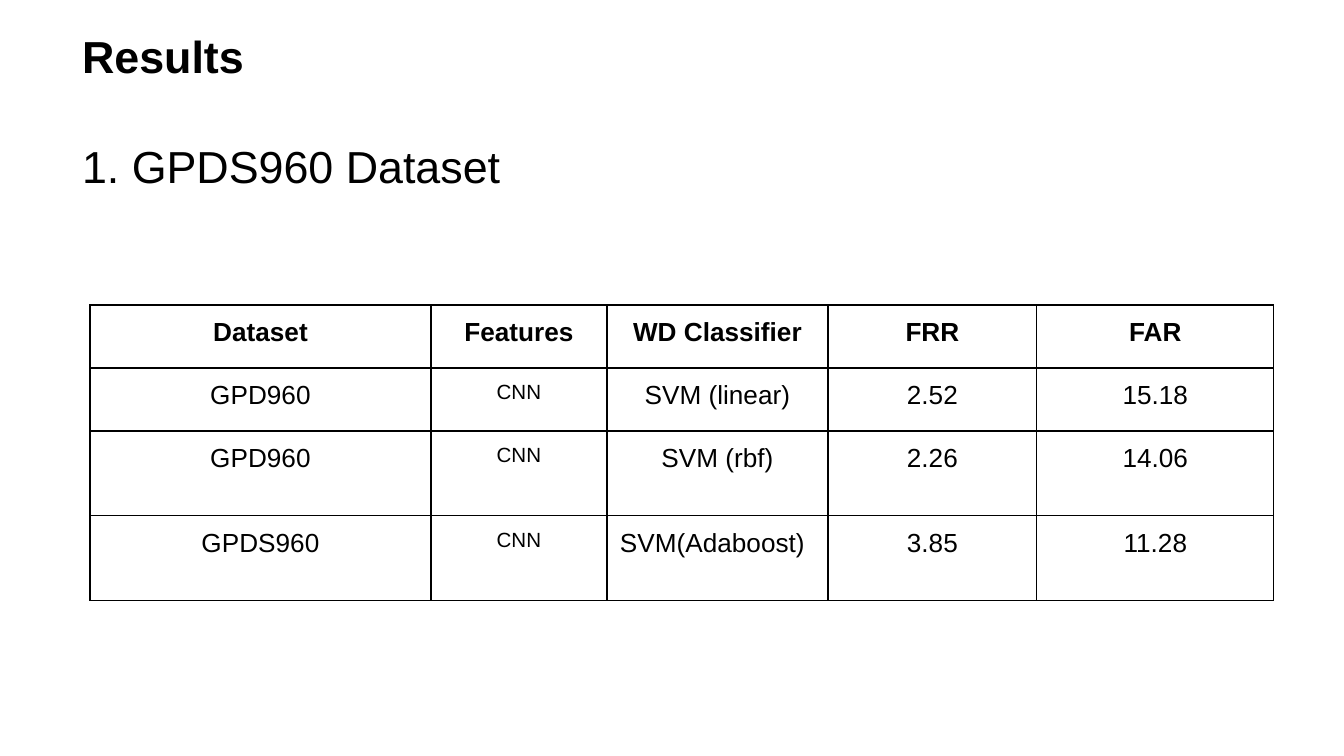
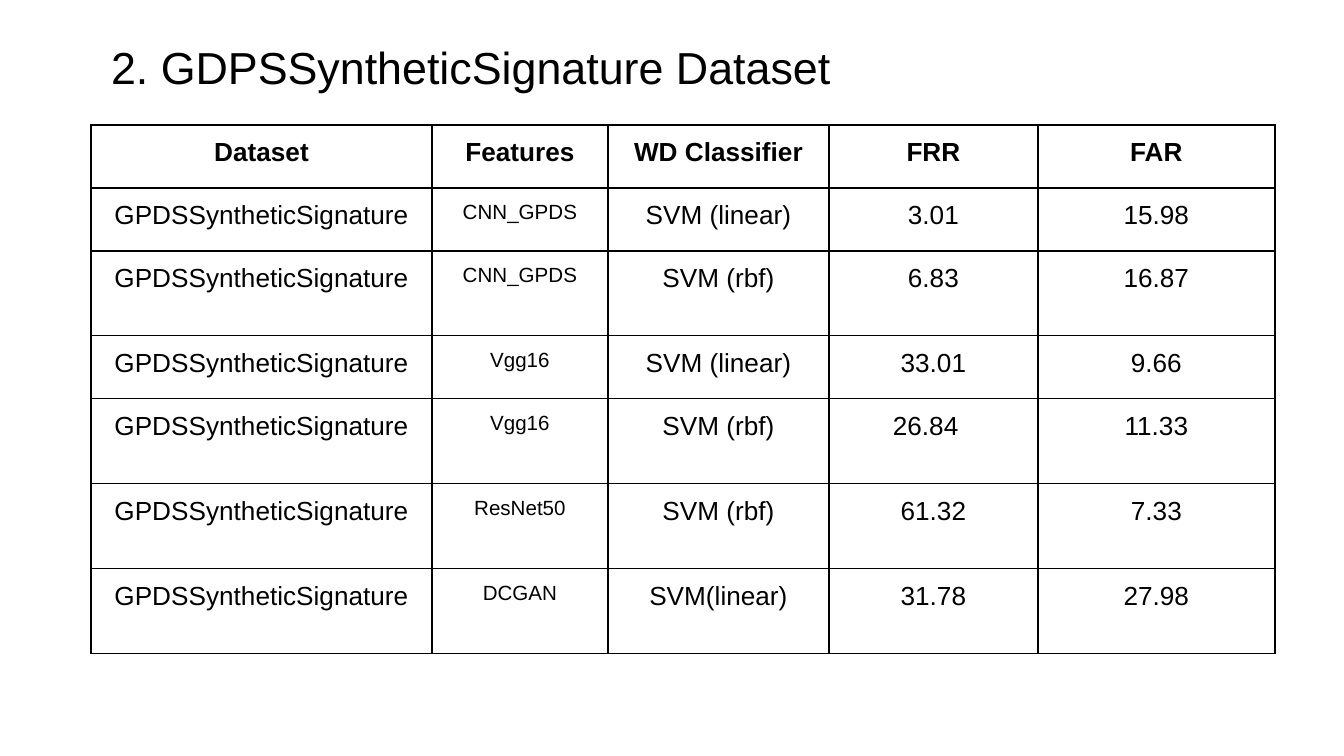
import pptx
import pptx.util
import pptx.dml.color
import pptx.enum.text
import pptx.oxml

SCALE = 914400 / 134.4
FONT = "Arial"
BLACK = "000000"
INSET = 13
SHORT, TALL = 63, 85
COLUMN_WIDTHS = [341, 176, 221, 209, 237]
HEADERS = ["Dataset", "Features", "WD Classifier", "FRR", "FAR"]
SYNTHETIC = "GPDSSyntheticSignature"
NAMESPACE = "http://schemas.openxmlformats.org/drawingml/2006/main"


def px(length):
    return pptx.util.Emu(round(length * SCALE))


def add_run(paragraph, text, size, bold=False, color=BLACK):
    run = paragraph.add_run()
    run.text = text
    run.font.name = FONT
    run.font.size = pptx.util.Pt(size)
    run.font.bold = bold
    run.font.color.rgb = pptx.dml.color.RGBColor.from_string(color)


slides = [
    {
        "title_box": (69, 16, 1219, 203),
        "title_lines": [("Results", True), ("1. GPDS960 Dataset", False)],
        "table_origin": (90, 305),
        "rows": [
            (SHORT, ["GPD960", "CNN", "SVM (linear)", "2.52", "15.18"]),
            (TALL, ["GPD960", "CNN", "SVM (rbf)", "2.26", "14.06"]),
            (TALL, ["GPDS960", "CNN", "SVM(Adaboost)", "3.85", "11.28"]),
        ],
        "left_indents": {(3, 2): 0},
    },
    {
        "title_box": (98, 27, 1184, 71),
        "title_lines": [("2. GDPSSyntheticSignature Dataset", False)],
        "table_origin": (91, 125),
        "rows": [
            (SHORT, [SYNTHETIC, "CNN_GPDS", "SVM (linear)", "3.01", "15.98"]),
            (TALL, [SYNTHETIC, "CNN_GPDS", "SVM (rbf)", "6.83", "16.87"]),
            (SHORT, [SYNTHETIC, "Vgg16", "SVM (linear)", "33.01", "9.66"]),
            (TALL, [SYNTHETIC, "Vgg16", "SVM (rbf)", "26.84", "11.33"]),
            (TALL, [SYNTHETIC, "ResNet50", "SVM (rbf)", "61.32", "7.33"]),
            (TALL, [SYNTHETIC, "DCGAN", "SVM(linear)", "31.78", "27.98"]),
        ],
        "left_indents": {(3, 4): 80, (4, 3): 51},
    },
]

presentation = pptx.Presentation()
presentation.slide_width = px(1344)
presentation.slide_height = px(756)

for content in slides:
    slide = presentation.slides.add_slide(presentation.slide_layouts[5])

    title = slide.shapes.title
    title.left, title.top, title.width, title.height = map(px, content["title_box"])
    frame = title.text_frame
    frame.word_wrap = True
    frame.auto_size = pptx.enum.text.MSO_AUTO_SIZE.NONE
    frame.vertical_anchor = pptx.enum.text.MSO_ANCHOR.TOP
    frame.margin_left = frame.margin_right = px(INSET)
    frame.margin_top = frame.margin_bottom = px(INSET)
    for index, (line, bold) in enumerate(content["title_lines"]):
        paragraph = frame.add_paragraph() if index else frame.paragraphs[0]
        paragraph.alignment = pptx.enum.text.PP_ALIGN.LEFT
        if index:
            paragraph.space_before = pptx.util.Pt(30)
        add_run(paragraph, line, 24, bold)

    rows = [(SHORT, HEADERS)] + content["rows"]
    left, top = content["table_origin"]
    table = slide.shapes.add_table(
        len(rows), len(HEADERS), px(left), px(top),
        px(sum(COLUMN_WIDTHS)), px(sum(height for height, _ in rows)),
    ).table
    table.first_row = False
    table.horz_banding = False
    for column, width in zip(table.columns, COLUMN_WIDTHS):
        column.width = px(width)

    for row_index, (height, texts) in enumerate(rows):
        table.rows[row_index].height = px(height)
        for column_index, text in enumerate(texts):
            cell = table.cell(row_index, column_index)
            cell.margin_left = cell.margin_right = px(INSET)
            cell.margin_top = cell.margin_bottom = px(INSET)
            properties = cell._tc.get_or_add_tcPr()
            for side in "LRTB":
                properties.append(pptx.oxml.parse_xml(
                    f'<a:ln{side} xmlns:a="{NAMESPACE}" w="{pptx.util.Pt(0.75)}">'
                    f'<a:solidFill><a:srgbClr val="{BLACK}"/></a:solidFill>'
                    f'</a:ln{side}>'
                ))
            cell.fill.background()

            paragraph = cell.text_frame.paragraphs[0]
            indent = content["left_indents"].get((row_index, column_index))
            if indent is None:
                paragraph.alignment = pptx.enum.text.PP_ALIGN.CENTER
            else:
                paragraph.alignment = pptx.enum.text.PP_ALIGN.LEFT
                paragraph._p.get_or_add_pPr().set("marL", str(px(indent)))
            is_header = row_index == 0
            size = 11 if column_index == 1 and not is_header else 14
            add_run(paragraph, text, size, is_header)

presentation.save("out.pptx")
